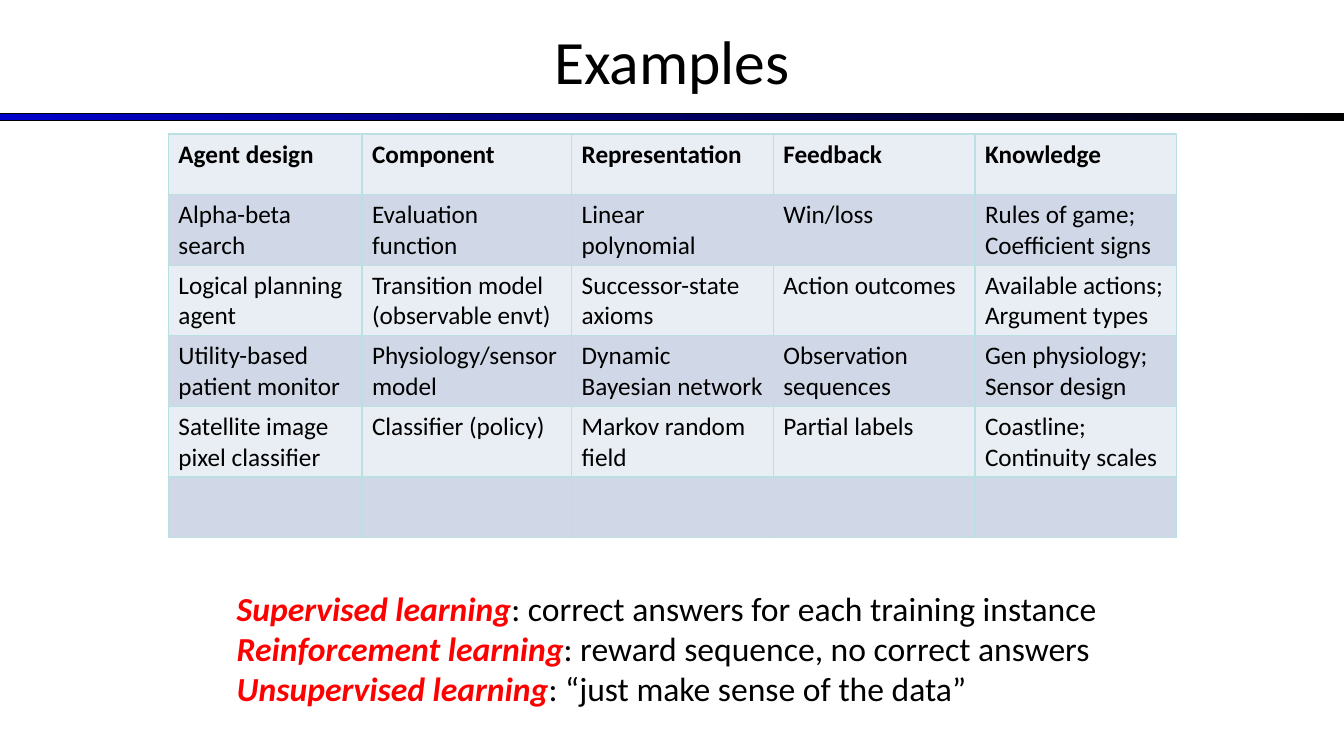
from dataclasses import dataclass

from lxml import etree
from pptx import Presentation
from pptx.dml.color import RGBColor
from pptx.enum import shapes, text
from pptx.oxml import ns
from pptx.util import Inches, Pt


@dataclass(frozen=True)
class Theme:
    font: str = "Calibri"
    ink: str = "000000"
    accent: str = "FF0000"
    bar_start: str = "0000CC"
    border: str = "BBE0E3"
    bands: tuple = ("E9EDF4", "D0D8E8")
    title_size: int = 44
    note_size: int = 24
    cell_size: int = 18


THEME = Theme()

COLUMN_WIDTHS = [1.92, 2.08, 2, 2, 2]
ROW_HEIGHT = 0.6
# A newline starts a new paragraph; the last row is left open
EXAMPLES = [
    ["Agent design", "Component", "Representation", "Feedback", "Knowledge"],
    ["Alpha-beta search", "Evaluation function", "Linear polynomial",
     "Win/loss", "Rules of game;\nCoefficient signs"],
    ["Logical planning agent", "Transition model\n(observable envt)",
     "Successor-state axioms", "Action outcomes",
     "Available actions;\nArgument types"],
    ["Utility-based patient monitor", "Physiology/sensor model",
     "Dynamic Bayesian network", "Observation sequences",
     "Gen physiology;\nSensor design"],
    ["Satellite image pixel classifier", "Classifier (policy)",
     "Markov random field", "Partial labels",
     "Coastline;\nContinuity scales"],
    [""] * 5,
]
LEARNING_KINDS = [
    ("Supervised learning", ": correct answers for each training instance"),
    ("Reinforcement learning", ": reward sequence, no correct answers"),
    ("Unsupervised learning", ": “just make sense of the data”"),
]


def rgb(value):
    return RGBColor.from_string(value)


def style(font, size, color=THEME.ink, bold=False, italic=False):
    font.name = THEME.font
    font.size = Pt(size)
    font.color.rgb = rgb(color)
    font.bold = bold
    font.italic = italic


def add_title(s, title):
    tf = s.shapes.add_textbox(
        Inches(0), Inches(-0.03), Inches(13.33), Inches(1.25)).text_frame
    tf.word_wrap = True
    tf.vertical_anchor = text.MSO_ANCHOR.MIDDLE
    tf.text = title
    p = tf.paragraphs[0]
    p.alignment = text.PP_ALIGN.CENTER
    style(p.runs[0].font, THEME.title_size)


def add_gradient_bar(s):
    sp = s.shapes.add_shape(shapes.MSO_SHAPE.RECTANGLE, Inches(0),
                            Inches(1.13), Inches(13.33), Inches(0.07))
    sp.shadow.inherit = False
    sp.fill.gradient()
    sp.fill.gradient_angle = 0
    for stop, color in zip(sp.fill.gradient_stops,
                           (THEME.bar_start, THEME.ink)):
        stop.color.rgb = rgb(color)
    sp.line.color.rgb = rgb(THEME.ink)
    sp.line.width = Pt(0.75)


def add_borders(cell):
    props = cell._tc.get_or_add_tcPr()
    for side in ("lnL", "lnR", "lnT", "lnB"):
        line = etree.SubElement(props, ns.qn(f"a:{side}"), w=str(Pt(1)))
        fill = etree.SubElement(line, ns.qn("a:solidFill"))
        etree.SubElement(fill, ns.qn("a:srgbClr"), val=THEME.border)


def fill_cell(cell, content, band, bold):
    add_borders(cell)
    cell.fill.solid()
    cell.fill.fore_color.rgb = rgb(band)
    cell.text_frame.text = content
    for p in cell.text_frame.paragraphs:
        style(p.font, THEME.cell_size, bold=bold)
        for r in p.runs:
            style(r.font, THEME.cell_size, bold=bold)


def add_examples_table(s):
    table = s.shapes.add_table(
        len(EXAMPLES), len(COLUMN_WIDTHS), Inches(1.67), Inches(1.33),
        Inches(sum(COLUMN_WIDTHS)), Inches(ROW_HEIGHT * len(EXAMPLES))).table
    for column, width in zip(table.columns, COLUMN_WIDTHS):
        column.width = Inches(width)
    for i, row in enumerate(EXAMPLES):
        table.rows[i].height = Inches(ROW_HEIGHT)
        for j, content in enumerate(row):
            fill_cell(table.cell(i, j), content, THEME.bands[i % 2], i == 0)


def add_definitions(s):
    tf = s.shapes.add_textbox(
        Inches(2.25), Inches(5.78), Inches(8.86), Inches(1.72)).text_frame
    tf.word_wrap = False
    for i, (term, meaning) in enumerate(LEARNING_KINDS):
        p = tf.paragraphs[0] if i == 0 else tf.add_paragraph()
        r = p.add_run()
        r.text = term
        style(r.font, THEME.note_size, THEME.accent, bold=True, italic=True)
        r = p.add_run()
        r.text = meaning
        style(r.font, THEME.note_size)


def main():
    prs = Presentation()
    prs.slide_width, prs.slide_height = Inches(13.33), Inches(7.5)
    s = prs.slides.add_slide(prs.slide_layouts[6])

    # Heading
    add_gradient_bar(s)
    add_title(s, "Examples")

    # Body
    add_examples_table(s)
    add_definitions(s)

    prs.save("out.pptx")


if __name__ == "__main__":
    main()
